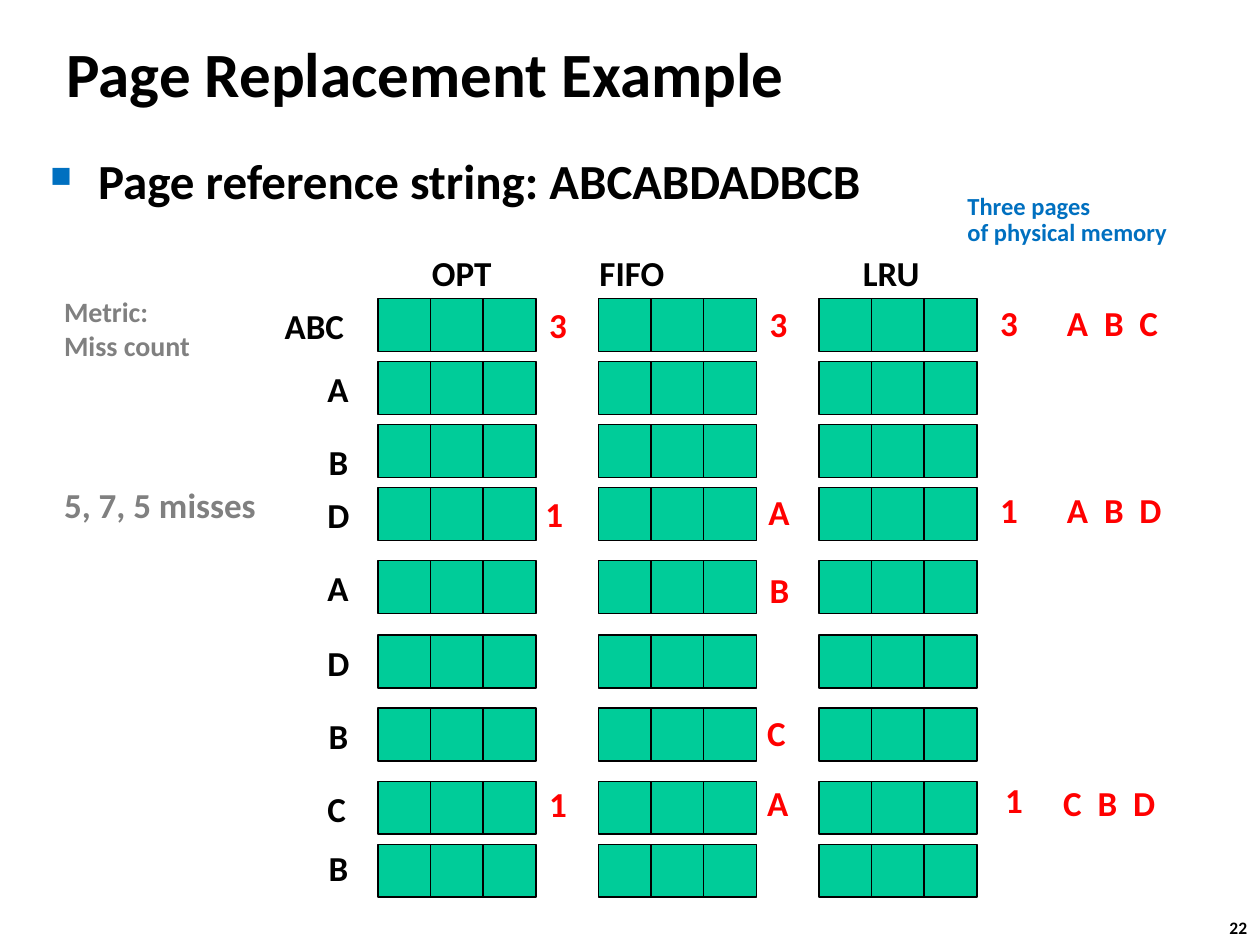
from dataclasses import dataclass

from lxml import etree
from pptx import Presentation
from pptx import util as u
from pptx.dml.color import RGBColor
from pptx.enum import shapes, text
from pptx.oxml import ns


@dataclass(frozen=True)
class Theme:
    font: str = "Calibri"
    black: str = "000000"
    blue: str = "0070C0"
    gray: str = "808080"
    red: str = "FF0000"
    green: str = "00CC99"
    title: int = 36
    body: int = 28
    label: int = 20
    metric: int = 16
    note: int = 14
    number: int = 10


T = Theme()

# Memory grid: three policies, three frames each
CELL = 0.42
STEP = 1.25 / 3
LEFTS = [3 + 1.75 * i for i in range(3)]
HEADS = [("OPT", 3.33, 0.68), ("FIFO", 4.66, 0.8), ("LRU", 6.75, 0.66)]

# Page request, row top, label left, label width, label shift
ROWS = [
    ("ABC", 2.37, 2.16, 0.68, 0),
    ("A", 2.87, 2.5, 0.38, 0),
    ("B", 3.37, 2.51, 0.36, 0.08),
    ("D", 3.87, 2.5, 0.38, 0),
    ("A", 4.45, 2.5, 0.38, 0),
    ("D", 5.04, 2.5, 0.38, 0),
    ("B", 5.62, 2.51, 0.36, 0),
    ("C", 6.2, 2.5, 0.36, 0),
    ("B", 6.7, 2.51, 0.36, -0.03),
]

# Misses of each policy: mark, left, top, width
MISSES = [
    [("3", 4.26, 2.36, 0.34), ("1", 4.23, 3.86, 0.34), ("1", 4.26, 6.16, 0.34)],
    [("3", 6.01, 2.35, 0.34), ("A", 6, 3.84, 0.37), ("B", 6.01, 4.46, 0.36),
     ("C", 5.99, 5.6, 0.35), ("A", 5.99, 6.15, 0.37)],
    [("3", 7.84, 2.34, 0.34), ("A  B  C", 8.37, 2.34, 0.93),
     ("A  B  D", 8.37, 3.83, 0.96), ("C  B  D", 8.34, 6.15, 0.96),
     ("1", 7.84, 3.83, 0.34), ("1", 7.88, 6.13, 0.34)],
]


def set_all(item, values):
    for name, value in values.items():
        setattr(item, name, value)


def add_text(host, words, box, size=T.label, color=T.black, wrap=False,
             grow=True, **frame):
    """Add one bold paragraph and return it."""
    shape = host.add_textbox(*map(u.Inches, box))
    fit = text.MSO_AUTO_SIZE
    set_all(shape.text_frame, {
        "word_wrap": wrap,
        "auto_size": fit.SHAPE_TO_FIT_TEXT if grow else fit.NONE,
        **frame,
    })
    para = shape.text_frame.paragraphs[0]
    para.text = words
    for run in para.runs:
        set_all(run.font, {"name": T.font, "size": u.Pt(size), "bold": True})
        run.font.color.rgb = RGBColor.from_string(color)
    return para


def add_bullet(para, mark, color, scale, indent):
    props = para._p.get_or_add_pPr()
    props.set("marL", str(u.Inches(indent)))
    props.set("indent", str(-u.Inches(indent)))
    tint = etree.SubElement(props, ns.qn("a:buClr"))
    etree.SubElement(tint, ns.qn("a:srgbClr"), val=color)
    etree.SubElement(props, ns.qn("a:buSzPct"), val=str(scale * 1000))
    etree.SubElement(props, ns.qn("a:buChar"), char=mark)


def add_cell(host, left, top):
    cell = host.add_shape(shapes.MSO_SHAPE.RECTANGLE,
                          *map(u.Inches, (left, top, CELL, CELL)))
    cell.shadow.inherit = False
    cell.fill.solid()
    cell.fill.fore_color.rgb = RGBColor.from_string(T.green)
    cell.line.color.rgb = RGBColor.from_string(T.black)
    cell.line.width = u.Pt(0.75)


def add_row(host, top):
    row = host.add_group_shape().shapes
    for left in LEFTS:
        for i in range(3):
            add_cell(row, left + i * STEP, top)


def main():
    deck = Presentation()
    set_all(deck, {"slide_width": u.Inches(10), "slide_height": u.Inches(7.5)})
    host = deck.slides.add_slide(deck.slide_layouts[6]).shapes

    # Slide number, title and reference string
    add_text(host, "22", (9.66, 7.23, 0.37, 0.27), T.number)
    add_text(host, "Page Replacement Example", (0.43, 0.16, 8.3, 0.83), T.title,
             wrap=True, grow=False, vertical_anchor=text.MSO_ANCHOR.MIDDLE)
    para = add_text(host, "Page reference string: ABCABDADBCB",
                    (0.3, 1.2, 9.25, 0.75), T.body, wrap=True, grow=False)
    add_bullet(para, "■", T.blue, 60, 0.38)
    para.line_spacing = 0.9

    # Policy names
    for name, left, width in HEADS:
        add_text(host, name, (left, 1.95, width, 0.44))

    # Frames and page requests
    for page, top, left, width, shift in ROWS:
        add_row(host, top)
        add_text(host, page, (left, top + shift, width, 0.45))

    # Side notes
    note = add_text(host, "Three pages\vof physical memory",
                    (7.58, 1.49, 2.2, 0.53), T.note, T.blue, wrap=True)
    note.line_spacing = 0.9
    add_text(host, "Metric:\vMiss count", (0.41, 2.29, 1.25, 0.64),
             T.metric, T.gray)
    add_text(host, "5, 7, 5 misses", (0.41, 3.79, 1.78, 0.44), color=T.gray)

    # Miss marks
    for marks in MISSES:
        group = host.add_group_shape().shapes
        for mark, left, top, width in marks:
            add_text(group, mark, (left, top, width, 0.44), color=T.red)

    deck.save("out.pptx")


if __name__ == "__main__":
    main()
